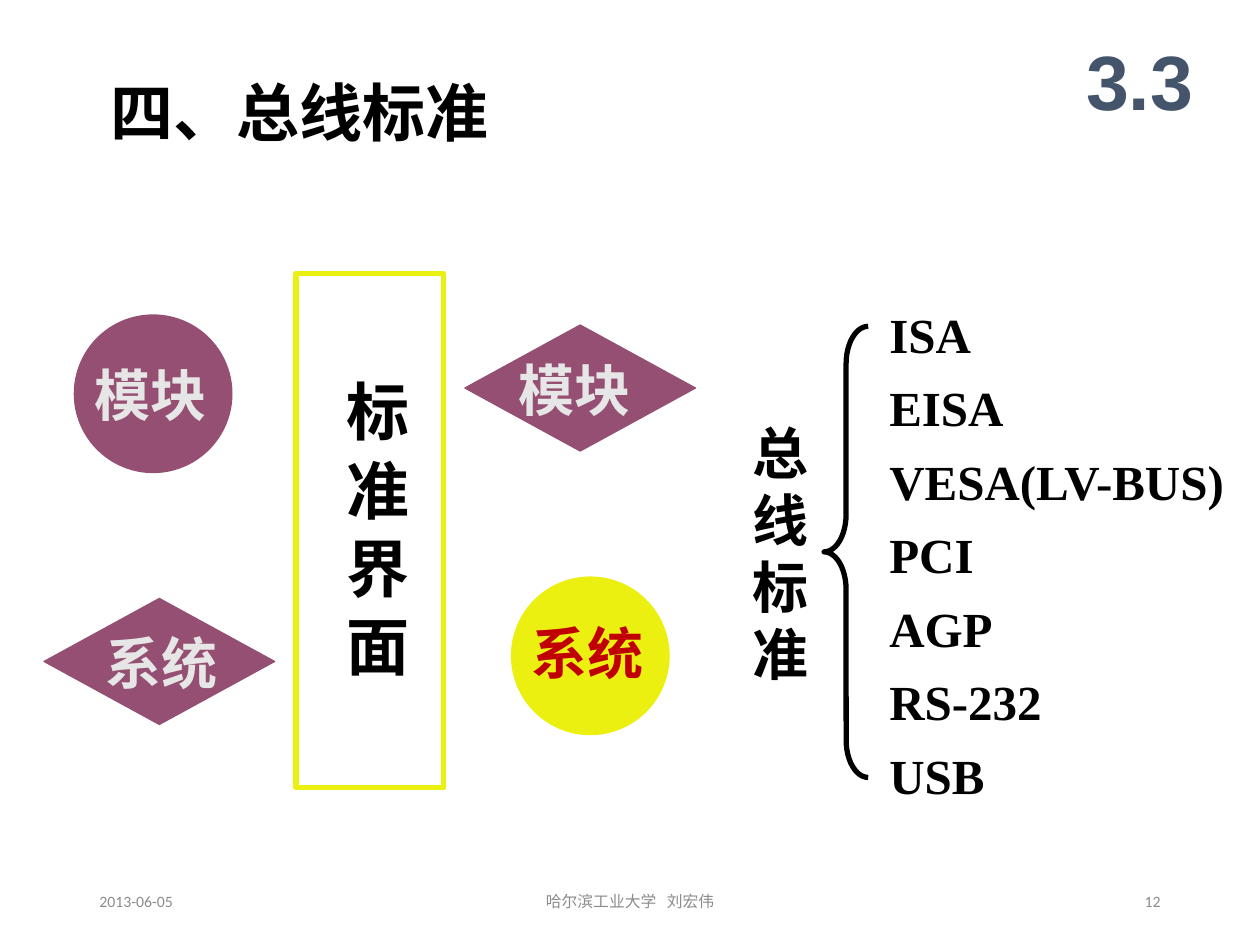
from pptx import Presentation
from pptx.dml.color import RGBColor as RGB
from pptx.enum.shapes import MSO_SHAPE as SHAPE
from pptx.enum.text import MSO_ANCHOR as ANCHOR, MSO_AUTO_SIZE as FIT, PP_ALIGN as ALIGN
from pptx.util import Inches, Pt

INK = {
    "black": "000000", "plum": "954F72", "yellow": "EBF010", "pale": "E7E6E6",
    "red": "C00000", "slate": "44546A", "grey": "8C8C8C",
}
SERIF = "Times New Roman"

deck = Presentation()
deck.slide_width, deck.slide_height = Inches(10), Inches(7.5)
COL = deck.slide_width / 100
ROW = deck.slide_height / 75
slide = deck.slides.add_slide(deck.slide_layouts[5])


def write(box, area, text, size, ink="black", font=SERIF, bold=True,
          align=ALIGN.LEFT, anchor=ANCHOR.TOP, fit=FIT.SHAPE_TO_FIT_TEXT, wrap=True):
    x, y, w, h = area
    box.left, box.top = round(x * COL), round(y * ROW)
    box.width, box.height = round(w * COL), round(h * ROW)
    frame = box.text_frame
    frame.text = text
    frame.word_wrap, frame.auto_size = wrap, fit
    frame.vertical_anchor = anchor
    for para in frame.paragraphs:
        para.alignment = align
        for run in para.runs:
            run.font.name, run.font.size, run.font.bold = font, Pt(size), bold
            run.font.color.rgb = RGB.from_string(INK[ink])
    return frame


def draw(home, kind, area, fill, line, width):
    x, y, w, h = area
    form = home.add_shape(kind, round(x * COL), round(y * ROW), round(w * COL), round(h * ROW))
    form.shadow.inherit = False
    if fill:
        form.fill.solid()
        form.fill.fore_color.rgb = RGB.from_string(INK[fill])
    else:
        form.fill.background()
    form.line.color.rgb = RGB.from_string(INK[line])
    form.line.width = Pt(width)
    return form


title = write(slide.shapes.title, (6.5, 5.3, 55.2, 7), "四、总线标准", 36)
title.margin_left = round(2.25 * COL)

write(slide.shapes.add_textbox(0, 0, 0, 0), (84.2, 1.7, 12.5, 9.2), "3.3", 44, "slate",
      "Arial", align=ALIGN.CENTER, anchor=ANCHOR.MIDDLE, fit=FIT.NONE)

round_size, diamond_size = (12.5, 12.5), (18.3, 10)
nodes = [
    (SHAPE.OVAL, (5.9, 25), round_size, "plum", "模块", "pale", (6.5, 28.1)),
    (SHAPE.OVAL, (40.6, 45.8), round_size, "yellow", "系统", "red", (41.2, 48.6)),
    (SHAPE.DIAMOND, (3.5, 47.5), diamond_size, "plum", "系统", "pale", (7.4, 49.4)),
    (SHAPE.DIAMOND, (36.9, 25.8), diamond_size, "plum", "模块", "pale", (40.2, 27.7)),
]
for kind, spot, size, fill, word, ink, place in nodes:
    group = slide.shapes.add_group_shape().shapes
    draw(group, kind, spot + size, fill, fill, 0.75)
    write(group.add_textbox(0, 0, 0, 0), place + (10.9, 6.3), word, 32, ink, wrap=False)

group = slide.shapes.add_group_shape().shapes
draw(group, SHAPE.RECTANGLE, (23.5, 21.7, 11.7, 40.8), None, "yellow", 3)
face = write(group.add_textbox(0, 0, 0, 0), (25.3, 29.2, 8, 35), "标 准 界 面", 36)
face._txBody.bodyPr.set("vert", "eaVert")

write(slide.shapes.add_textbox(0, 0, 0, 0), (58.7, 32.7, 5.9, 22.3), "\n".join("总线标准"), 32)
brace = draw(slide.shapes, SHAPE.LEFT_BRACE, (65.4, 25.9, 3.5, 35.8), None, "black", 3)
brace.adjustments[0] = 0.85

buses = ["ISA", "EISA", "VESA(LV-BUS)", "PCI", "AGP", "RS-232", "USB"]
names = write(slide.shapes.add_textbox(0, 0, 0, 0), (69.6, 22.5, 34.9, 41.8), "\n".join(buses), 28)
for para in names.paragraphs:
    para.line_spacing = 1.25

foot = [
    (6.9, 22.5, "2013-06-05", ALIGN.LEFT),
    (33.1, 33.8, "哈尔滨工业大学   刘宏伟", ALIGN.CENTER),
    (70.6, 22.5, "12", ALIGN.RIGHT),
]
for x, w, text, align in foot:
    write(slide.shapes.add_textbox(0, 0, 0, 0), (x, 69.5, w, 4), text, 9, "grey", "Calibri",
          bold=False, align=align, anchor=ANCHOR.MIDDLE, fit=FIT.NONE)

deck.save("out.pptx")
